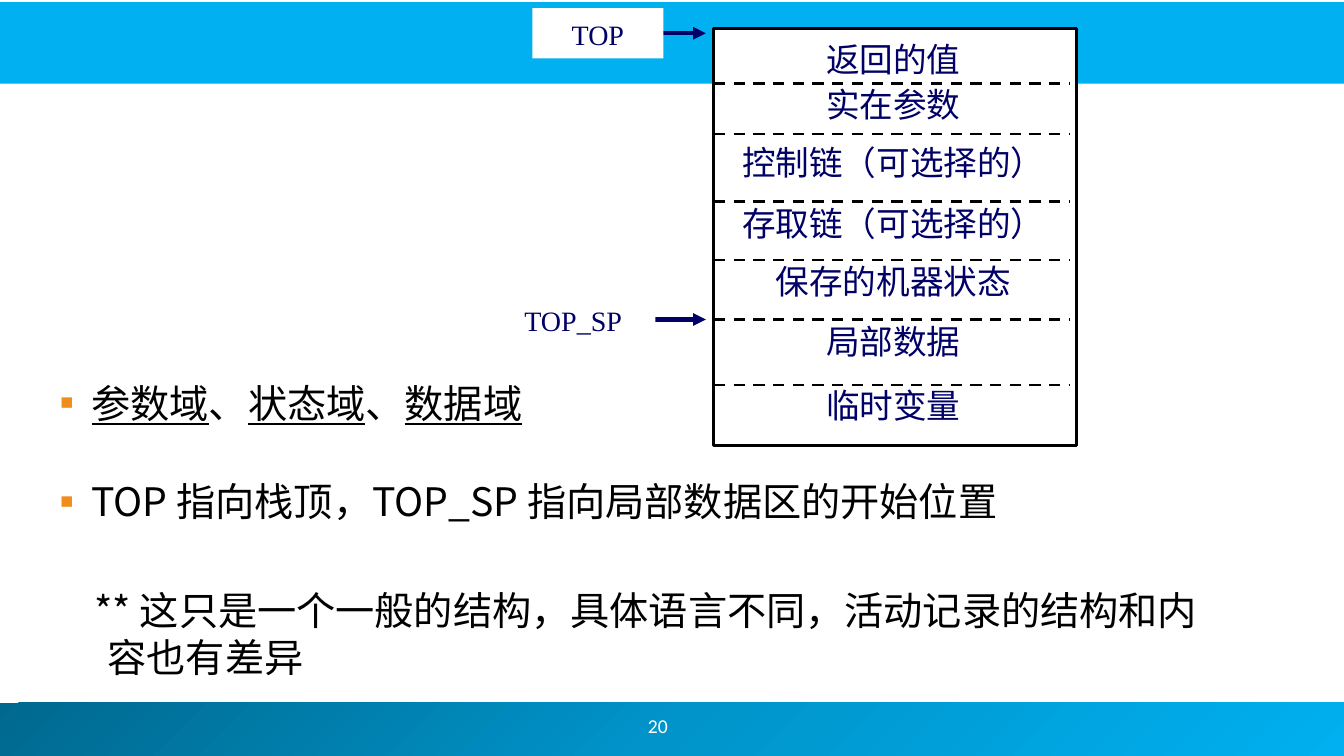
import copy

import pptx
import pptx.dml.color
import pptx.enum.dml
import pptx.enum.shapes
import pptx.enum.text
import pptx.oxml
import pptx.oxml.ns
import pptx.util

PX = 9144
SANS, SERIF, NUMBER_FONT = "Noto Sans CJK SC", "Times New Roman", "Calibri"
WHITE = pptx.dml.color.RGBColor(0xFF, 0xFF, 0xFF)
BLACK = pptx.dml.color.RGBColor(0x00, 0x00, 0x00)
NAVY = pptx.dml.color.RGBColor(0x00, 0x00, 0x66)
SKY = pptx.dml.color.RGBColor(0x00, 0xB0, 0xF0)
MID_BLUE = pptx.dml.color.RGBColor(0x00, 0x94, 0xCA)
DEEP_BLUE = pptx.dml.color.RGBColor(0x00, 0x68, 0x8E)
ORANGE = pptx.dml.color.RGBColor(0xEF, 0x8E, 0x1C)

TOP = pptx.enum.text.MSO_ANCHOR.TOP
MIDDLE = pptx.enum.text.MSO_ANCHOR.MIDDLE
CENTER = pptx.enum.text.PP_ALIGN.CENTER
LEFT = pptx.enum.text.PP_ALIGN.LEFT

FIELDS = [
    ("返回的值", 2, 50),
    ("临时变量", 345, 67),
    ("实在参数", 46, 71),
    ("控制链（可选择的）", 104, 71),
    ("存取链（可选择的）", 164, 71),
    ("保存的机器状态", 222, 71),
    ("局部数据", 281, 71),
]
DIVIDERS = [55, 105, 172, 230, 289, 354]
POINTERS = [("TOP", 5, 528, 130), ("TOP_SP", 289, 487, 163)]
DOMAINS = [("参数域", True), ("、", False), ("状态域", True), ("、", False), ("数据域", True)]
POINTER_NOTE = [("TOP 指向栈顶，TOP_SP 指向局部数据区的开始位置", False)]
REMARK = [("** 这只是一个一般的结构，具体语言不同，活动记录的结构和内容也有差异", False)]


def px(*lengths):
    """Turn px lengths into EMU."""
    return [pptx.util.Emu(length * PX) for length in lengths]


def apply_format(target, values):
    """Set each attribute of a dict of format values."""
    for name, value in values.items():
        setattr(target, name, value)


def add_xml(parent, tag, **attributes):
    """Append a DrawingML child element with attributes."""
    child = parent.makeelement(pptx.oxml.ns.qn(tag), attributes)
    parent.append(child)
    return child


def add_box(slide, box, colour=WHITE):
    """Draw a plain filled rectangle without an outline."""
    rect = slide.shapes.add_shape(pptx.enum.shapes.MSO_SHAPE.RECTANGLE, *px(*box))
    rect.shadow.inherit = False
    rect.fill.solid()
    rect.fill.fore_color.rgb = colour
    rect.line.fill.background()
    return rect


def add_line(slide, start, end, colour, width):
    """Draw a straight line without a shadow."""
    line = slide.shapes.add_connector(
        pptx.enum.shapes.MSO_CONNECTOR.STRAIGHT, *px(*start, *end))
    line.line.color.rgb = colour
    line.line.width = pptx.util.Pt(width)
    add_xml(line._element.spPr, "a:effectLst")
    return line


def write(paragraph, text, size, font, colour, underline=False):
    """Add a formatted run to a paragraph."""
    run = paragraph.add_run()
    run.text = text
    apply_format(run.font, {"size": pptx.util.Pt(size), "name": font, "underline": underline})
    run.font.color.rgb = colour
    add_xml(run._r.get_or_add_rPr(), "a:ea", typeface=font)


def fill_label(shape, text, size, font):
    """Write a centred navy label at the top of a box."""
    side, top, bottom = px(10, 9, 5)
    apply_format(shape.text_frame, {
        "word_wrap": True, "vertical_anchor": TOP, "margin_left": side,
        "margin_right": side, "margin_top": top, "margin_bottom": bottom})
    label = shape.text_frame.paragraphs[0]
    label.alignment = CENTER
    write(label, text, size, font, NAVY)


def draw_bands(slide, width, height):
    """Draw the header band, the gradient footer and the page number."""
    footer = add_box(slide, (-5, height - 53, width + 6, 54))
    footer.fill.gradient()
    footer.fill.gradient_angle = 315
    stop_list = footer._element.spPr.find(".//" + pptx.oxml.ns.qn("a:gsLst"))
    stop_list.insert(1, copy.deepcopy(stop_list[0]))
    for stop, colour, position in zip(
            footer.fill.gradient_stops, (DEEP_BLUE, MID_BLUE, SKY), (0, 0.5, 1)):
        stop.color.rgb = colour
        stop.position = position
    add_box(slide, (-2, 2, width + 3, 81), SKY)

    number = slide.shapes.add_textbox(*px(508, height - 55, 289, 50))
    apply_format(number.text_frame, {"word_wrap": True, "vertical_anchor": MIDDLE})
    page = number.text_frame.paragraphs[0]
    page.alignment = CENTER
    write(page, "20", 14, NUMBER_FONT, WHITE)


def draw_statement(slide, box, pieces, indent=-31, bullet=True):
    """Write one body statement, with a square bullet if wanted."""
    body = slide.shapes.add_textbox(*px(*box))
    body.text_frame.word_wrap = True
    statement = body.text_frame.paragraphs[0]
    apply_format(statement, {"level": 1, "alignment": LEFT,
                             "space_before": pptx.util.Pt(4)})
    properties = statement._p.get_or_add_pPr()
    properties.set("marL", str(81 * PX))
    properties.set("indent", str(indent * PX))
    if bullet:
        add_xml(add_xml(properties, "a:buClr"), "a:srgbClr", val=str(ORANGE))
        add_xml(properties, "a:buSzPct", val="55000")
        add_xml(properties, "a:buFont", typeface=SERIF)
        add_xml(properties, "a:buChar", char="■")
    else:
        add_xml(properties, "a:buNone")
    for text, underline in pieces:
        write(statement, text, 28, SANS, BLACK, underline)


def draw_record(slide, left, top, width, height):
    """Draw the activation record with its fields, dividers and pointers."""
    frame = add_box(slide, (left, top, width, height))
    frame.line.color.rgb = BLACK
    frame.line.width = pptx.util.Pt(2)
    for text, offset, field_height in FIELDS:
        field = add_box(slide, (left + 9, top + offset, width - 22, field_height))
        fill_label(field, text, 24, SANS)
    for offset in DIVIDERS:
        y = top + offset
        divider = add_line(slide, (left, y), (left + width - 7, y), BLACK, 2)
        divider.line.dash_style = pptx.enum.dml.MSO_LINE.DASH
    for text, offset, label_left, label_width in POINTERS:
        y = top + offset
        arrow = add_line(slide, (left - 75, y), (left - 8, y), NAVY, 3)
        add_xml(arrow.line._get_or_add_ln(), "a:tailEnd", type="triangle")
        pointer = add_box(slide, (label_left, y - 25, label_width, 50))
        fill_label(pointer, text, 20, SERIF)


def main():
    """Build the activation record slide."""
    deck = pptx.Presentation()
    width, height = 1333, 750
    deck.slide_width, deck.slide_height = px(width, height)
    slide = deck.slides.add_slide(deck.slide_layouts[6])
    draw_bands(slide, width, height)
    draw_statement(slide, (0, 371, 726, 71), DOMAINS)
    draw_statement(slide, (0, 469, 1254, 80), POINTER_NOTE)
    draw_statement(slide, (16, 577, 1194, 94), REMARK, indent=-13, bullet=False)
    draw_record(slide, 708, 28, 360, 414)
    deck.save("out.pptx")


if __name__ == "__main__":
    main()
